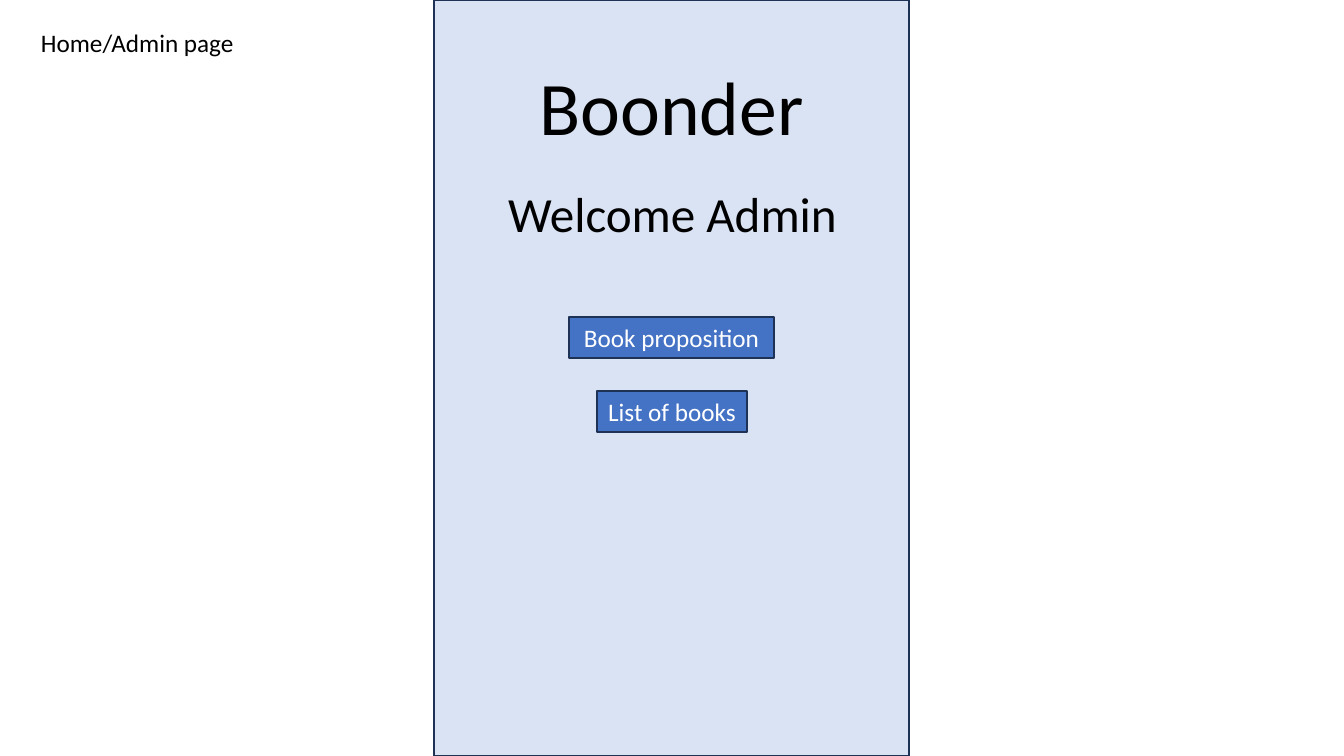
from dataclasses import dataclass

from pptx import Presentation
from pptx import util as u
from pptx.dml.color import RGBColor
from pptx.enum import shapes, text

PX = 914400 / 100.8
PAGE_WIDTH, PAGE_HEIGHT = 1344, 756
FONT = "Calibri"
BLACK, WHITE = "000000", "FFFFFF"
PANEL_BLUE, BUTTON_BLUE, OUTLINE = "DAE3F3", "4472C4", "1E3256"


@dataclass(frozen=True)
class Area:
    left: int
    top: int
    width: int
    height: int

    def emu(self) -> tuple[int, ...]:
        return tuple(px(n) for n in (self.left, self.top, self.width, self.height))


@dataclass(frozen=True)
class Button:
    caption: str
    area: Area


PANEL = Area(434, 0, 475, PAGE_HEIGHT)
TITLE = Area(434, 62, 475, 95)
WELCOME = Area(478, 153, 389, 95)
PAGE_LABEL = Area(31, 22, 216, 40)
BUTTONS = (
    Button("Book proposition", Area(569, 317, 205, 41)),
    Button("List of books", Area(597, 391, 150, 41)),
)


def px(length: int) -> int:
    return round(length * PX)


def color(value: str) -> RGBColor:
    return RGBColor.from_string(value)


def write(shape, words: str, size: float, ink: str = BLACK,
          align=text.PP_ALIGN.CENTER, anchor=text.MSO_ANCHOR.MIDDLE,
          spacing: float = 1.0, wrap: bool = True) -> None:
    frame = shape.text_frame
    frame.word_wrap = wrap
    frame.auto_size = text.MSO_AUTO_SIZE.NONE if wrap else text.MSO_AUTO_SIZE.SHAPE_TO_FIT_TEXT
    frame.vertical_anchor = anchor
    para = frame.paragraphs[0]
    para.alignment = align
    para.line_spacing = spacing
    para.space_before = u.Pt(0)
    span = para.add_run()
    span.text = words
    span.font.name = FONT
    span.font.size = u.Pt(size)
    span.font.color.rgb = color(ink)


def write_heading(shape, words: str, size: float) -> None:
    write(shape, words, size, anchor=text.MSO_ANCHOR.BOTTOM, spacing=0.9)


def add_rectangle(page, area: Area, fill: str):
    box = page.shapes.add_shape(shapes.MSO_SHAPE.RECTANGLE, *area.emu())
    box.shadow.inherit = False
    box.fill.solid()
    box.fill.fore_color.rgb = color(fill)
    box.line.color.rgb = color(OUTLINE)
    box.line.width = u.Pt(1)
    return box


def main() -> None:
    deck = Presentation()
    deck.slide_width, deck.slide_height = px(PAGE_WIDTH), px(PAGE_HEIGHT)
    page = deck.slides.add_slide(deck.slide_layouts[0])
    subtitle = page.placeholders[1].element
    subtitle.getparent().remove(subtitle)

    title = page.shapes.title
    title.left, title.top, title.width, title.height = TITLE.emu()
    write_heading(title, "Boonder", 54)
    panel = add_rectangle(page, PANEL, PANEL_BLUE)
    title.element.addprevious(panel.element)

    label = page.shapes.add_textbox(*PAGE_LABEL.emu())
    write(label, "Home/Admin page", 18, align=text.PP_ALIGN.LEFT,
          anchor=text.MSO_ANCHOR.TOP, wrap=False)

    for button in BUTTONS:
        box = add_rectangle(page, button.area, BUTTON_BLUE)
        write(box, button.caption, 18, WHITE)

    welcome = page.shapes.add_textbox(*WELCOME.emu())
    write_heading(welcome, "Welcome Admin", 35.1)

    deck.save("out.pptx")


if __name__ == "__main__":
    main()
